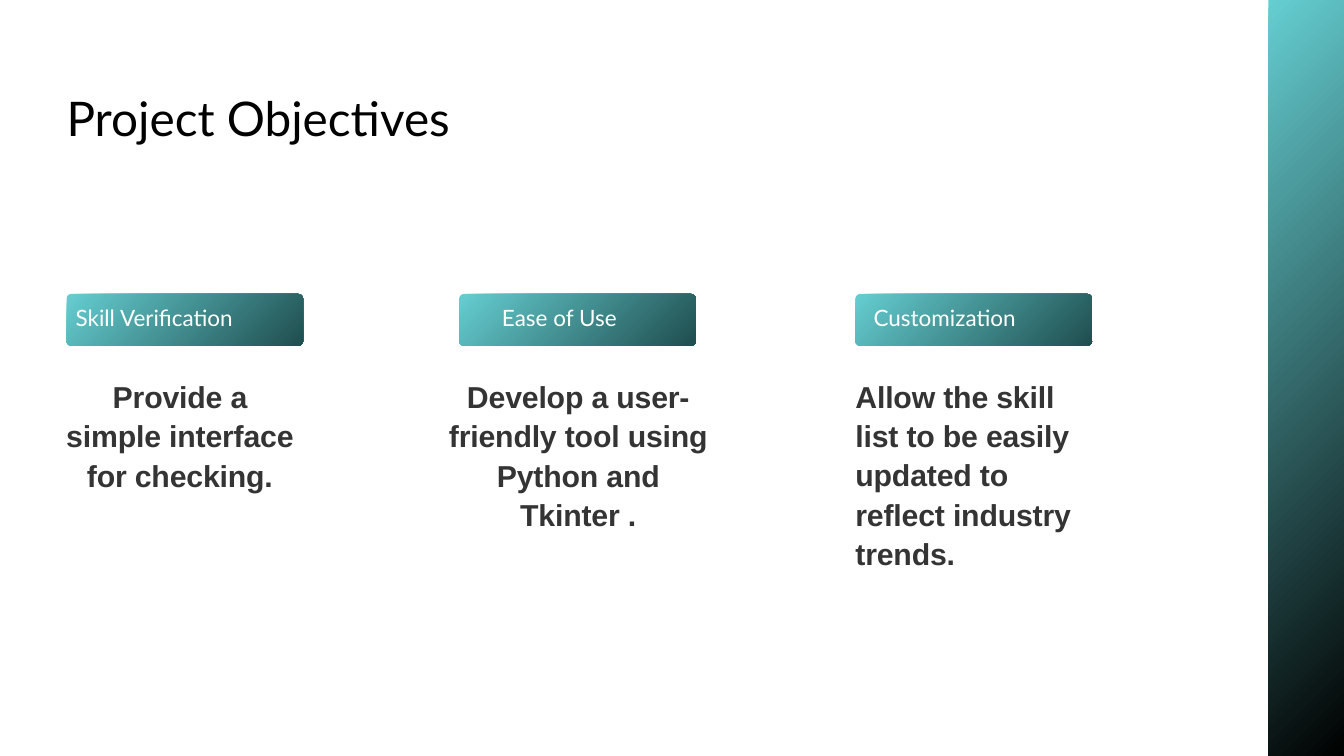
from dataclasses import dataclass

from pptx import Presentation
from pptx.dml.color import RGBColor
from pptx.enum.shapes import MSO_SHAPE as Preset
from pptx.enum.text import MSO_AUTO_SIZE as AutoSize, PP_ALIGN as Align
from pptx.util import Emu, Pt


@dataclass(frozen=True)
class Theme:
    teal: str = "65CED1"
    deep_teal: str = "1F4E4F"
    black: str = "000000"
    white: str = "FFFFFF"
    grey: str = "343434"
    heading_font: str = "Lato"
    body_font: str = "Arial"
    title_size: float = 51.1
    label_size: float = 24.1
    body_size: float = 32.4


THEME = Theme()
EMU_PER_PX = 9525
SLIDE_W, SLIDE_H = 1920, 1080
SIDEBAR_W = 108
TAG_TOP, TAG_W, TAG_H = 420, 338, 74
LABEL_TOP, LABEL_H = 437, 73
BODY_TOP = 536

TITLE = "Project Objectives"
OBJECTIVES = [
    dict(label="Skill Verification", tag_x=95, label_x=108, label_w=355,
         body="Provide a simple interface for checking.",
         body_x=88, body_w=338, body_h=224, align=Align.CENTER),
    dict(label="Ease of Use", tag_x=656, label_x=717, label_w=308,
         body="Develop a user-friendly tool using Python and Tkinter .",
         body_x=626, body_w=400, body_h=224, align=Align.CENTER),
    dict(label="Customization", tag_x=1222, label_x=1248, label_w=308,
         body="Allow the skill list to be easily updated to reflect industry trends.",
         body_x=1222, body_w=338, body_h=279, align=Align.LEFT),
]


def px(*lengths):
    return [Emu(length * EMU_PER_PX) for length in lengths]


def add_text(slide, text, box, *, size, color, leading, font=THEME.heading_font,
             bold=False, align=Align.LEFT, spacing=0):
    frame = slide.shapes.add_textbox(*px(*box)).text_frame
    frame.word_wrap = True
    frame.auto_size = AutoSize.SHAPE_TO_FIT_TEXT
    frame.margin_left = frame.margin_top = frame.margin_right = frame.margin_bottom = 0
    paragraph = frame.paragraphs[0]
    paragraph.alignment = align
    paragraph.line_spacing = Pt(leading)
    run = paragraph.add_run()
    run.text = text
    run.font.name = font
    run.font.size = Pt(size)
    run.font.bold = bold
    run.font.color.rgb = RGBColor.from_string(color)
    if spacing:
        run.font._element.set("spc", str(round(spacing * 100)))


def add_gradient(slide, preset, box, start, end):
    panel = slide.shapes.add_shape(preset, *px(*box))
    panel.shadow.inherit = False
    panel.line.fill.background()
    panel.fill.gradient()
    panel.fill.gradient_angle = 315
    for stop, position, color in zip(panel.fill.gradient_stops, (0, 1), (start, end)):
        stop.position = position
        stop.color.rgb = RGBColor.from_string(color)
    return panel


def main():
    deck = Presentation()
    deck.slide_width, deck.slide_height = px(SLIDE_W, SLIDE_H)
    slide = deck.slides.add_slide(deck.slide_layouts[6])

    add_gradient(slide, Preset.RECTANGLE,
                 (SLIDE_W - SIDEBAR_W, 0, SIDEBAR_W, SLIDE_H), THEME.teal, THEME.black)
    add_text(slide, TITLE, (95, 132, 1036, 156),
             size=THEME.title_size, color=THEME.black, leading=57.8)

    for item in OBJECTIVES:
        tag = add_gradient(slide, Preset.ROUNDED_RECTANGLE,
                           (item["tag_x"], TAG_TOP, TAG_W, TAG_H),
                           THEME.teal, THEME.deep_teal)
        tag.adjustments[0] = 0.09
        add_text(slide, item["label"],
                 (item["label_x"], LABEL_TOP, item["label_w"], LABEL_H),
                 size=THEME.label_size, color=THEME.white, leading=27.2)
        add_text(slide, item["body"],
                 (item["body_x"], BODY_TOP, item["body_w"], item["body_h"]),
                 size=THEME.body_size, color=THEME.grey, leading=42.1,
                 font=THEME.body_font, bold=True, align=item["align"], spacing=-0.2)

    deck.save("out.pptx")


if __name__ == "__main__":
    main()
